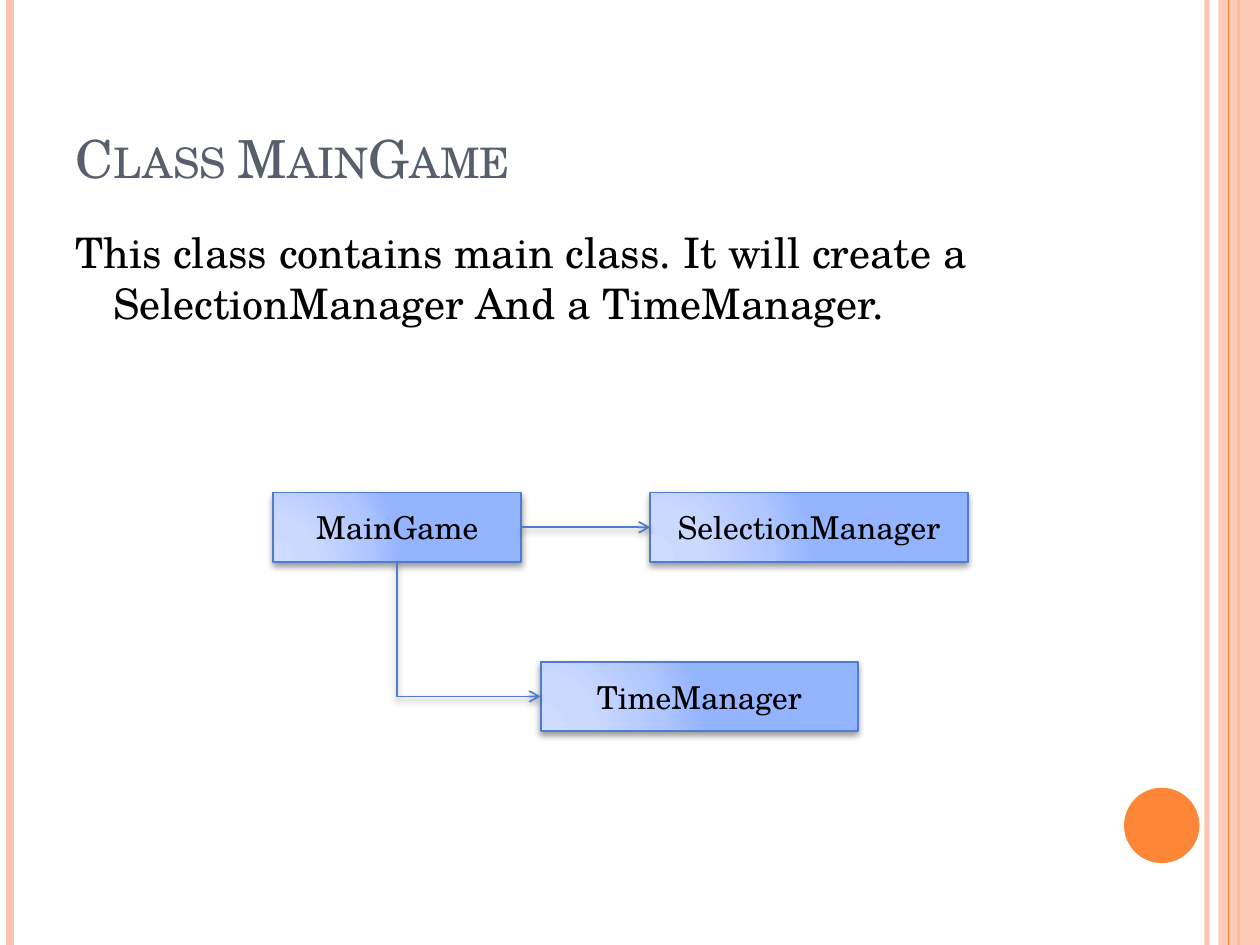
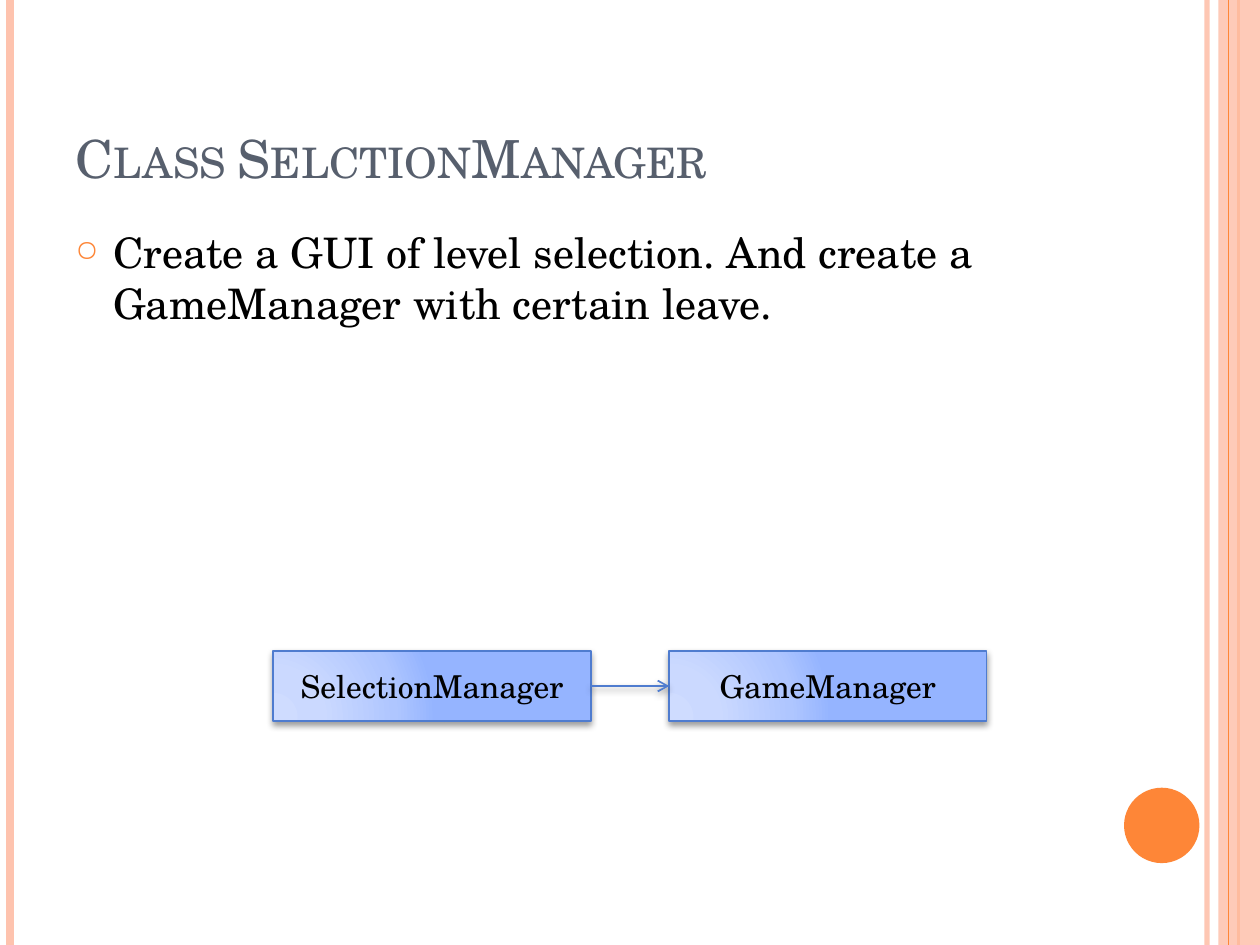
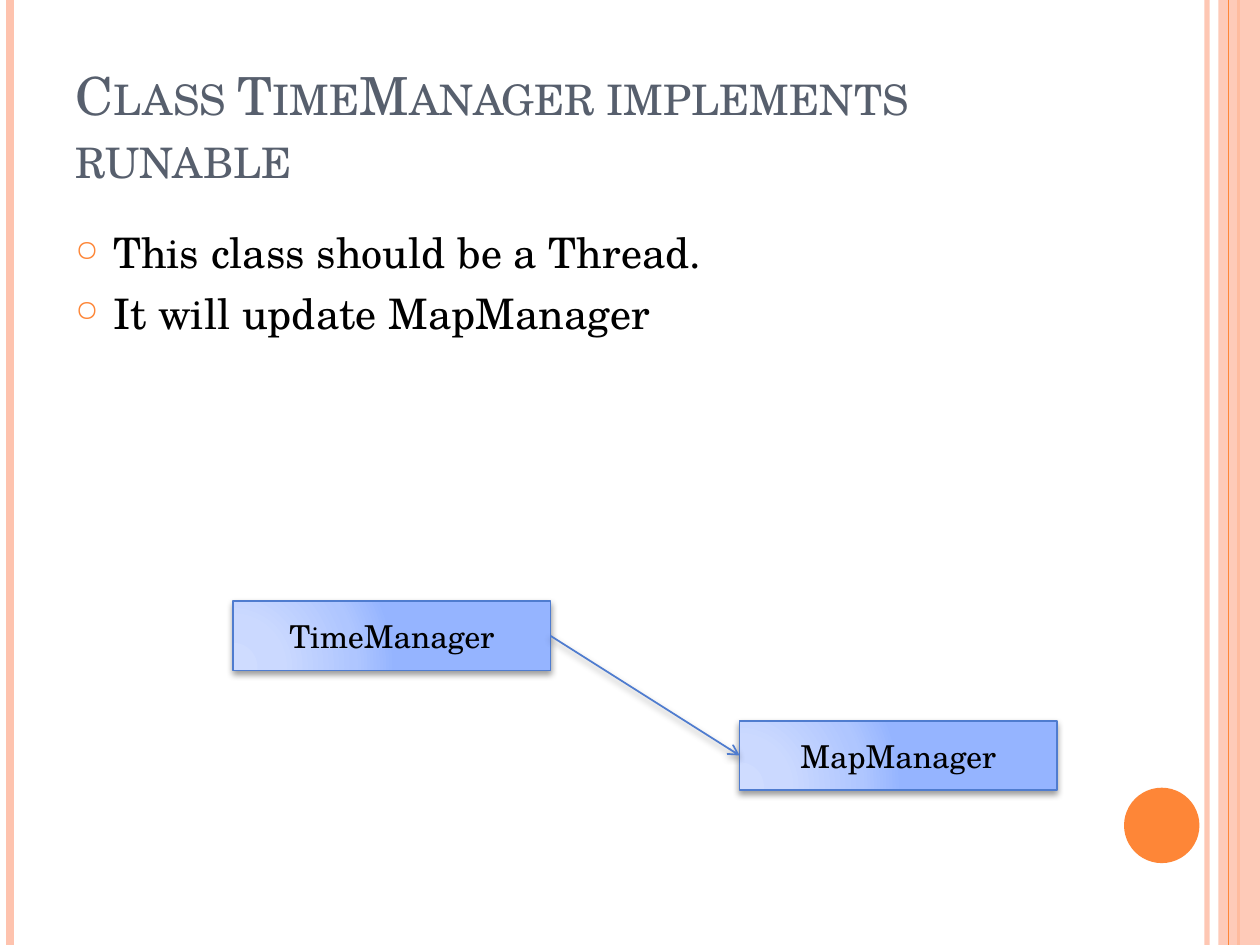
from lxml import etree
from pptx import Presentation
from pptx.dml.color import RGBColor
from pptx.enum.shapes import MSO_CONNECTOR, MSO_SHAPE
from pptx.enum.text import MSO_ANCHOR, MSO_AUTO_SIZE, PP_ALIGN
from pptx.oxml import parse_xml
from pptx.oxml.ns import qn
from pptx.util import Cm, Pt

STRAIGHT, ELBOW = MSO_CONNECTOR.STRAIGHT, MSO_CONNECTOR.ELBOW
RECTANGLE, OVAL = MSO_SHAPE.RECTANGLE, MSO_SHAPE.OVAL
MIDDLE, BOTTOM = MSO_ANCHOR.MIDDLE, MSO_ANCHOR.BOTTOM
LEFT, CENTER = PP_ALIGN.LEFT, PP_ALIGN.CENTER
NO_AUTOFIT = MSO_AUTO_SIZE.NONE

FONT = "TeX Gyre Schola"
BLACK = RGBColor(0, 0, 0)
SLATE = RGBColor(0x57, 0x5F, 0x6D)
ORANGE = RGBColor(0xFE, 0x86, 0x37)
PEACH = RGBColor(0xFE, 0xC3, 0xAE)
BLUE = RGBColor(0x4F, 0x7C, 0xCF)
BOX_GRADIENT = [
    (0, RGBColor(0xCF, 0xDC, 0xFF)),
    (30, RGBColor(0xCB, 0xD9, 0xFF)),
    (75, RGBColor(0xAF, 0xC6, 0xFF)),
    (100, RGBColor(0x95, 0xB4, 0xFF)),
]

SLIDE_WIDTH, SLIDE_HEIGHT = Cm(25.4), Cm(19.05)
TEXT_LEFT, TEXT_WIDTH = Cm(1.27), Cm(20.75)
BOX_WIDTH, BOX_HEIGHT = 6.4, 1.4
INDENT = Cm(0.76)

# Connection sites of a rectangle
SITE_LEFT, SITE_BOTTOM, SITE_RIGHT = 1, 2, 3

NS = 'xmlns:a="http://schemas.openxmlformats.org/drawingml/2006/main"'


def set_font(paragraph, size, color):
    font = paragraph.font
    font.name, font.size = FONT, Pt(size)
    font.color.rgb = color


def set_alpha(shape, percent):
    """Make the first plain colour of a shape or line translucent."""
    color = shape.element.spPr.find(".//" + qn("a:srgbClr"))
    etree.SubElement(color, qn("a:alpha")).set("val", str(percent * 1000))


def add_shadow(effects):
    effects.append(parse_xml(
        f'<a:outerShdw {NS} blurRad="50800" dist="25400" dir="5400000" '
        'rotWithShape="0"><a:srgbClr val="000000"><a:alpha val="40000"/>'
        '</a:srgbClr></a:outerShdw>'))


def style_line(connector, color, width):
    """Format a line and return its effect list, still empty."""
    connector.line.color.rgb = color
    connector.line.width = Pt(width)
    return etree.SubElement(connector.element.spPr, qn("a:effectLst"))


# Shared slide parts

def add_stripe(slide, x, color, width):
    stripe = slide.shapes.add_connector(STRAIGHT, Cm(x), 0, Cm(x), SLIDE_HEIGHT)
    style_line(stripe, color, width)
    return stripe


def add_plain_shape(slide, kind, left, top, width, height, color):
    shape = slide.shapes.add_shape(kind, left, top, width, height)
    shape.shadow.inherit = False
    shape.fill.solid()
    shape.fill.fore_color.rgb = color
    shape.line.fill.background()
    return shape


def add_frame(slide):
    set_alpha(add_stripe(slide, 24.33, PEACH, 3), 93)
    add_stripe(slide, 0.21, PEACH, 4.5)
    add_stripe(slide, 24.97, ORANGE, 1.5)
    band = add_plain_shape(slide, RECTANGLE, Cm(24.56), 0, Cm(0.84),
                           SLIDE_HEIGHT, PEACH)
    set_alpha(band, 87)
    add_stripe(slide, 24.77, ORANGE, 0.75)
    add_plain_shape(slide, OVAL, Cm(22.66), Cm(15.88), Cm(1.52), Cm(1.52), ORANGE)


def set_title(slide, text):
    title = slide.shapes.title
    title.left, title.top = TEXT_LEFT, Cm(0.76)
    title.width, title.height = TEXT_WIDTH, Cm(3.18)
    frame = title.text_frame
    frame.text = text
    frame.auto_size = NO_AUTOFIT
    frame.vertical_anchor = BOTTOM
    heading = frame.paragraphs[0]
    heading.alignment = LEFT
    set_font(heading, 30, SLATE)
    heading.font._element.set("cap", "small")


def add_bullet(properties):
    for xml in (f'<a:buClr {NS}><a:srgbClr val="{ORANGE}"/></a:buClr>',
                f'<a:buSzPct {NS} val="70000"/>',
                f'<a:buChar {NS} char="○"/>'):
        properties.append(parse_xml(xml))


def add_body(slide, lines, bulleted):
    body = slide.shapes.add_textbox(TEXT_LEFT, Cm(4.45), TEXT_WIDTH, Cm(13.54))
    frame = body.text_frame
    frame.word_wrap = True
    frame.text = "\n".join(lines)
    for paragraph in frame.paragraphs:
        paragraph.space_before = Pt(6)
        properties = paragraph._p.get_or_add_pPr()
        properties.set("marL", str(INDENT))
        properties.set("indent", str(-INDENT))
        if bulleted:
            add_bullet(properties)
        set_font(paragraph, 24, BLACK)


def add_class_slide(deck, title, lines, bulleted=True):
    slide = deck.slides.add_slide(deck.slide_layouts.get_by_name("Title Only"))
    add_frame(slide)
    set_title(slide, title)
    add_body(slide, lines, bulleted)
    return slide


# Class diagram parts

def box_gradient():
    stops = "".join(
        f'<a:gs pos="{position * 1000}"><a:srgbClr val="{color}"/></a:gs>'
        for position, color in BOX_GRADIENT)
    return parse_xml(
        f'<a:gradFill {NS} rotWithShape="1"><a:gsLst>{stops}</a:gsLst>'
        '<a:path path="circle"><a:fillToRect l="5000" t="100000" r="120000" '
        'b="10000"/></a:path></a:gradFill>')


def add_class_box(slide, name, left, top, width=BOX_WIDTH):
    box = slide.shapes.add_shape(RECTANGLE, Cm(left), Cm(top), Cm(width),
                                 Cm(BOX_HEIGHT))
    box.line.color.rgb = BLUE
    box.line.width = Pt(1)
    box.shadow.inherit = False
    properties = box.element.spPr
    properties.find(qn("a:prstGeom")).addnext(box_gradient())
    add_shadow(properties.find(qn("a:effectLst")))
    frame = box.text_frame
    frame.text = name
    frame.vertical_anchor = MIDDLE
    label = frame.paragraphs[0]
    label.alignment = CENTER
    set_font(label, 18, BLACK)
    return box


def add_arrow(slide, source, target, kind=STRAIGHT, start=SITE_RIGHT):
    arrow = slide.shapes.add_connector(kind, 0, 0, 0, 0)
    arrow.begin_connect(source, start)
    arrow.end_connect(target, SITE_LEFT)
    add_shadow(style_line(arrow, BLUE, 1))
    line = arrow.element.spPr.find(qn("a:ln"))
    etree.SubElement(line, qn("a:tailEnd")).set("type", "arrow")
    return arrow


def add_down_arrow(slide, source, target):
    """Arrow that drops from the source, then turns right to the target."""
    arrow = add_arrow(slide, source, target, ELBOW, SITE_BOTTOM)
    width, height = arrow.width, arrow.height
    shift = (width - height) // 2
    arrow.left, arrow.top = arrow.left + shift, arrow.top - shift
    arrow.width, arrow.height = height, width
    properties = arrow.element.spPr
    properties.find(qn("a:prstGeom")).set("prst", "bentConnector2")
    transform = properties.find(qn("a:xfrm"))
    transform.set("rot", "16200000")
    transform.set("flipH", "1")


# Slides

def add_main_game(deck):
    slide = add_class_slide(
        deck, "Class MainGame",
        ["This class contains main class. It will create a "
         "SelectionManager And a TimeManager."], bulleted=False)
    main_game = add_class_box(slide, "MainGame", 5.51, 9.93, width=5)
    time_manager = add_class_box(slide, "TimeManager", 10.9, 13.34)
    selection_manager = add_class_box(slide, "SelectionManager", 13.11, 9.93)
    add_arrow(slide, main_game, selection_manager)
    add_down_arrow(slide, main_game, time_manager)


def add_selection_manager(deck):
    slide = add_class_slide(
        deck, "Class SelctionManager",
        ["Create a GUI of level selection. And create a GameManager "
         "with certain leave."])
    selection_manager = add_class_box(slide, "SelectionManager", 5.51, 13.13)
    game_manager = add_class_box(slide, "GameManager", 13.49, 13.13)
    add_arrow(slide, selection_manager, game_manager)


def add_time_manager(deck):
    slide = add_class_slide(
        deck, "Class TimeManager implements runable",
        ["This class should be a Thread.", "It will update MapManager"])
    time_manager = add_class_box(slide, "TimeManager", 4.7, 12.12)
    map_manager = add_class_box(slide, "MapManager", 14.91, 14.53)
    add_arrow(slide, time_manager, map_manager)


def main():
    deck = Presentation()
    deck.slide_width, deck.slide_height = SLIDE_WIDTH, SLIDE_HEIGHT
    add_main_game(deck)
    add_selection_manager(deck)
    add_time_manager(deck)
    deck.save("out.pptx")


main()
